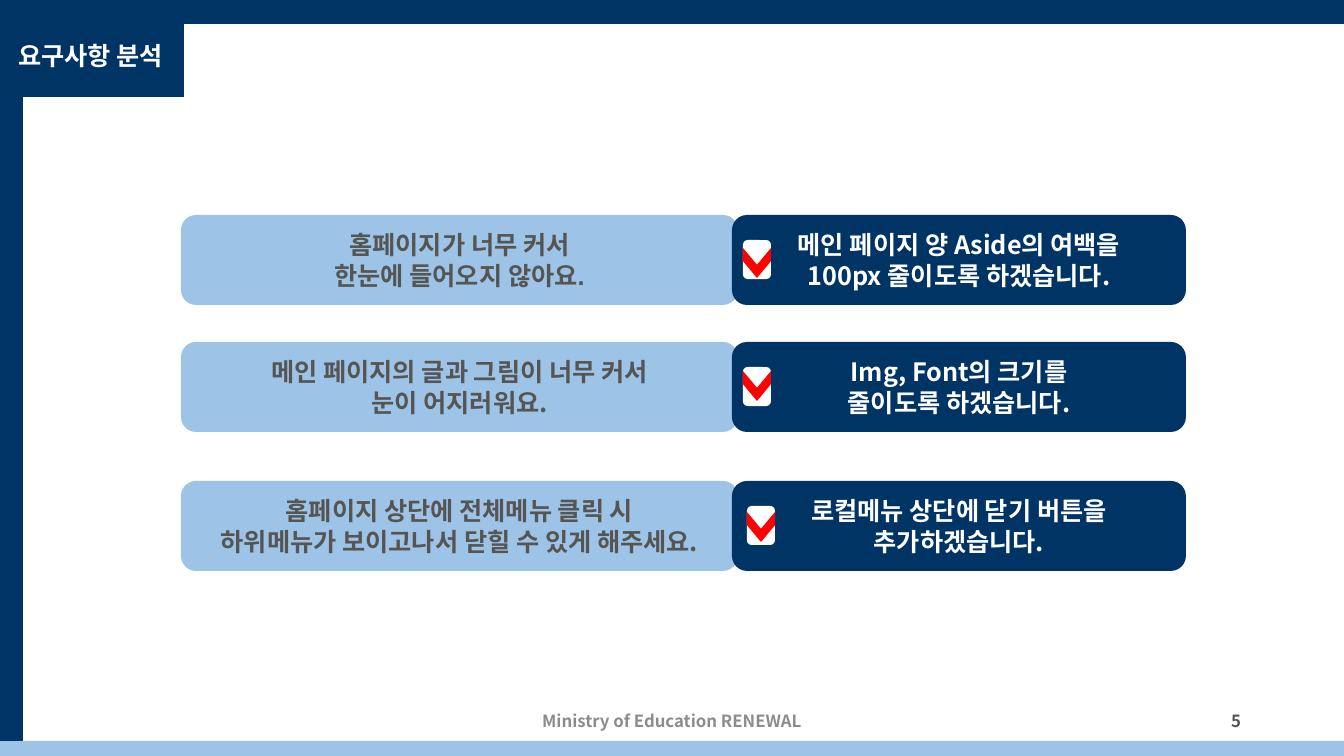
from lxml import etree
from pptx import Presentation
from pptx import util as u
from pptx.dml.color import RGBColor
from pptx.enum import shapes, text
from pptx.oxml.ns import qn

PX = 914400 / 100.8
WIDTH, HEIGHT = 1344, 756
FONT = "Noto Sans CJK KR"
COLORS = {
    "navy": "003464", "sky": "9DC3E6", "white": "FFFFFF",
    "red": "FF0000", "dark": "555554", "gray": "8C8C8C",
}
KIND = shapes.MSO_SHAPE
ALIGN = text.PP_ALIGN

# Request lines, request font, answer lines, row top, check offset, chevron offset
ROWS = [
    (["홈페이지가 너무 커서", "한눈에 들어오지 않아요."], "Arial",
     ["메인 페이지 양 Aside의 여백을 100px 줄이도록 하겠습니다."],
     215, 11, 34),
    (["메인 페이지의 글과 그림이 너무 커서", "눈이 어지러워요."], FONT,
     ["Img, Font의 크기를", "줄이도록 하겠습니다."],
     342, 11, 30),
    (["홈페이지 상단에 전체메뉴 클릭 시",
      "하위메뉴가 보이고나서 닫힐 수 있게 해주세요."], FONT,
     ["로컬메뉴 상단에 닫기 버튼을", "추가하겠습니다."],
     481, 15, 32),
]


def emu(*lengths):
    return [u.Emu(round(length * PX)) for length in lengths]


def color(name):
    return RGBColor.from_string(COLORS[name])


def add_block(page, kind, box, fill):
    block = page.shapes.add_shape(kind, *emu(*box))
    block.shadow.inherit = False
    block.fill.solid()
    block.fill.fore_color.rgb = color(fill)
    block.line.fill.background()
    return block


def write(shape, lines, size, ink, align=ALIGN.CENTER, font=FONT, inset=10):
    frame = shape.text_frame
    frame.word_wrap = True
    frame.vertical_anchor = text.MSO_ANCHOR.MIDDLE
    frame.margin_left, frame.margin_right = emu(inset, inset)
    for index, line in enumerate(lines):
        para = frame.paragraphs[0] if index == 0 else frame.add_paragraph()
        para.alignment = align
        span = para.add_run()
        span.text = line
        span.font.name = font
        span.font.size = u.Pt(size)
        span.font.bold = True
        span.font.color.rgb = color(ink)
        east_asian = etree.SubElement(span.font._element, qn("a:ea"))
        east_asian.set("typeface", FONT)


def add_label(page, box, line, size, ink, align=ALIGN.CENTER):
    label = page.shapes.add_textbox(*emu(*box))
    write(label, [line], size, ink, align)


def add_frame(page, box):
    left, top, width, height = box
    tab_bottom, foot = top + 97, top + height - 15
    # Edge bars and title tab
    for bar, fill in [
        ((left, top, width, 24), "navy"),
        ((left, foot, width, 15), "sky"),
        ((left, tab_bottom, 23, foot - tab_bottom), "navy"),
        ((left, top, 184, 97), "navy"),
    ]:
        add_block(page, KIND.RECTANGLE, bar, fill)
    # Title, footer and page number
    add_label(page, (left, top + 35, 181, 40), "요구사항 분석", 18, "white")
    add_label(page, (left + 445, foot - 40, 454, 40),
              "Ministry of Education RENEWAL", 12, "gray")
    add_label(page, (left + 949, foot - 40, 302, 40), "5", 12, "dark", ALIGN.RIGHT)


def add_check(page, box, chevron_top):
    left, top, width, height = box
    add_block(page, KIND.ROUNDED_RECTANGLE, box, "white")
    mark = add_block(page, KIND.CHEVRON, (left - 1, chevron_top, 30, 28), "red")
    mark.adjustments[0] = 0.6
    mark.rotation = 90


def add_row(page, box, request, font, answer, check_x, chevron_y):
    left, top, width, height = box
    # User request
    request_box = add_block(page, KIND.ROUNDED_RECTANGLE,
                            (left, top, 557, height), "sky")
    write(request_box, request, 18, "dark", font=font)
    # Planned answer, its text kept clear of the check mark
    answer_left = left + 551
    answer_box = add_block(page, KIND.ROUNDED_RECTANGLE,
                           (answer_left, top, width - 551, height), "navy")
    write(answer_box, answer, 18, "white", inset=40)
    # Check mark
    add_check(page, (answer_left + check_x, top + 25, 28, 39), top + chevron_y)


def main():
    deck = Presentation()
    deck.slide_width, deck.slide_height = emu(WIDTH, HEIGHT)
    page = deck.slides.add_slide(deck.slide_layouts[6])
    add_frame(page, (0, 0, WIDTH, HEIGHT))
    for request, font, answer, top, check_x, chevron_y in ROWS:
        add_row(page, (181, top, 1005, 90), request, font, answer, check_x, chevron_y)
    deck.save("out.pptx")


if __name__ == "__main__":
    main()
